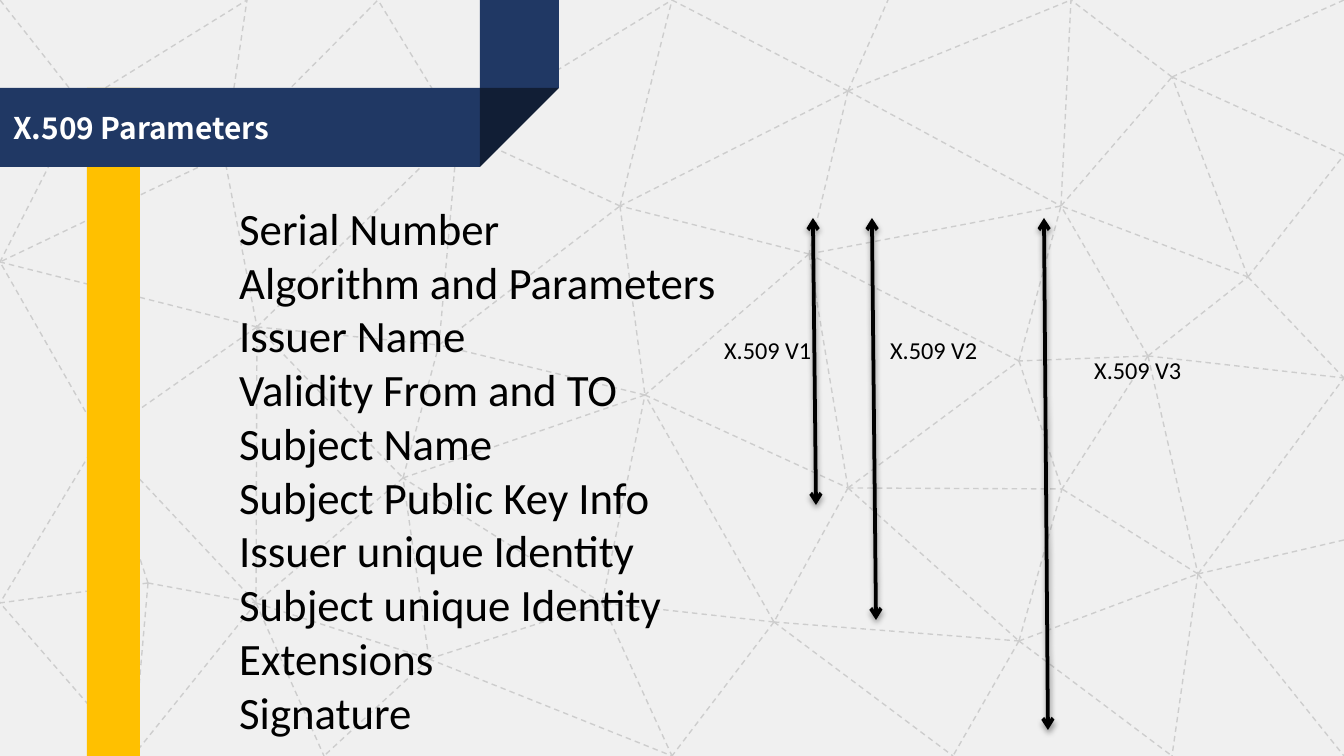
from typing import NamedTuple

from lxml import etree
from pptx import Presentation
from pptx.dml.color import RGBColor
from pptx.enum.dml import MSO_LINE
from pptx.enum.shapes import MSO_CONNECTOR, MSO_SHAPE
from pptx.oxml import parse_xml
from pptx.oxml.ns import nsdecls, qn
from pptx.util import Emu, Pt

SLIDE_WIDTH, SLIDE_HEIGHT = 1344, 756
EMU_PER_PX = 9144000 / SLIDE_WIDTH

STRAIGHT = MSO_CONNECTOR.STRAIGHT
RECTANGLE = MSO_SHAPE.RECTANGLE
RIGHT_TRIANGLE = MSO_SHAPE.RIGHT_TRIANGLE
DASH = MSO_LINE.DASH

PAPER = RGBColor(0xF0, 0xF0, 0xF0)
MESH_GRAY = RGBColor(0xCD, 0xCD, 0xCD)
GOLD = RGBColor(0xFF, 0xC0, 0x00)
NAVY = RGBColor(0x20, 0x38, 0x64)
DARK_NAVY = RGBColor(0x11, 0x1E, 0x35)
WHITE = RGBColor(0xFF, 0xFF, 0xFF)
BLACK = RGBColor(0x00, 0x00, 0x00)

BODY_FONT = "Calibri"
TITLE_FONT = "Noto Sans CJK SC"


class Point(NamedTuple):
    x: int
    y: int


class Block(NamedTuple):
    left: int
    top: int
    width: int
    height: int
    fill: RGBColor
    preset: int = RECTANGLE
    flipped: bool = False


class Label(NamedTuple):
    left: int
    top: int
    width: int
    height: int
    lines: list[str]
    size: int
    color: RGBColor = BLACK
    font: str = BODY_FONT
    bold: bool = False


class Span(NamedTuple):
    start: Point
    end: Point


# T, L, R and B nodes lie on the slide edges, M nodes inside.
NODES = {
    "T0": Point(0, 0), "T1": Point(247, 0), "T2": Point(378, 0), "T3": Point(672, 0),
    "T4": Point(888, 0), "T5": Point(1071, 0), "T6": Point(1344, 0),
    "L1": Point(0, 262), "L2": Point(0, 603),
    "R1": Point(1344, 155), "R2": Point(1344, 378), "R3": Point(1344, 540),
    "B1": Point(133, 756), "B2": Point(324, 756), "B3": Point(672, 756),
    "B4": Point(953, 756), "B5": Point(1172, 756), "B6": Point(1344, 756),
    "M1": Point(81, 103), "M2": Point(224, 155), "M3": Point(458, 131),
    "M4": Point(848, 91), "M5": Point(1172, 77), "M6": Point(620, 206),
    "M7": Point(809, 254), "M8": Point(1061, 206), "M9": Point(1248, 277),
    "M10": Point(257, 327), "M11": Point(439, 345), "M12": Point(645, 395),
    "M13": Point(1019, 361), "M14": Point(1148, 356), "M15": Point(100, 437),
    "M16": Point(403, 478), "M17": Point(848, 488), "M18": Point(1062, 489),
    "M19": Point(148, 583), "M20": Point(256, 603), "M21": Point(602, 603),
    "M22": Point(774, 622), "M23": Point(1019, 641), "M24": Point(1198, 574),
    "M25": Point(429, 659),
}
MESH = {
    "M1": "T0 T1 L1",
    "M2": "T1 T2 L1 M10",
    "M3": "T2 T3",
    "M4": "T3 T4 T5 M6 M7 M8",
    "M5": "T5 T6 R1",
    "M6": "T3 M3 M12",
    "M7": "M6 M8 M12",
    "M8": "T5 M5",
    "M9": "R1 R2 M5 M8",
    "M10": "L1 M3 M11 M15 M16 M20",
    "M11": "M3 M6",
    "M12": "M11 M16 M17",
    "M13": "M7 M8 M18",
    "M14": "R2 M8 M9 M13 M18 M24",
    "M15": "L1 L2 M20",
    "M16": "M11 M20",
    "M17": "M7 M13 M18 M22 M23",
    "M19": "L2 B1 M15 M20",
    "M20": "B1 B2 M25",
    "M21": "B3 M12 M16",
    "M22": "B3 B4 M12 M21 M23",
    "M23": "B4 B5 M18 M24",
    "M24": "R2 R3 B5 B6 M18",
    "M25": "B2 B3 M16 M21",
    "B1": "L2",
}

BACKGROUND = Block(0, 0, SLIDE_WIDTH, SLIDE_HEIGHT, PAPER)
RIBBON = [
    Block(87, 88, 53, 668, GOLD),
    Block(480, 0, 79, 88, NAVY),
    Block(0, 88, 480, 79, NAVY),
    Block(480, 88, 79, 79, DARK_NAVY, RIGHT_TRIANGLE, True),
]
PARAMETERS = [
    "Serial Number", "Algorithm and Parameters", "Issuer Name",
    "Validity From and TO", "Subject Name", "Subject Public Key Info",
    "Issuer unique Identity", "Subject unique Identity", "Extensions", "Signature",
]
LABELS = [
    Label(0, 103, 581, 50, ["X.509 Parameters"], 16, WHITE, TITLE_FONT, True),
    Label(226, 194, 503, 556, PARAMETERS, 24),
    Label(711, 329, 116, 43, ["X.509 V1"], 13),
    Label(877, 329, 116, 43, ["X.509 V2"], 13),
    Label(1081, 349, 116, 43, ["X.509 V3"], 13),
]
VERSION_SPANS = [
    Span(Point(813, 218), Point(816, 505)),
    Span(Point(872, 218), Point(876, 620)),
    Span(Point(1044, 218), Point(1048, 730)),
]


def px(length: int) -> Emu:
    return Emu(round(length * EMU_PER_PX))


def draw_block(slide, block: Block) -> None:
    shape = slide.shapes.add_shape(block.preset, *map(px, block[:4]))
    shape.shadow.inherit = False
    shape.fill.solid()
    shape.fill.fore_color.rgb = block.fill
    shape.line.fill.background()
    if block.flipped:
        shape._element.spPr.find(qn("a:xfrm")).set("flipV", "1")


def draw_line(slide, start: Point, end: Point, color: RGBColor, width: float):
    """Add a straight connector without a shadow."""
    line = slide.shapes.add_connector(STRAIGHT, *map(px, start + end))
    line.line.color.rgb = color
    line.line.width = Pt(width)
    etree.SubElement(line._element.spPr, qn("a:effectLst"))
    return line


def draw_mesh(slide) -> None:
    for start, neighbours in MESH.items():
        for end in neighbours.split():
            line = draw_line(slide, NODES[start], NODES[end], MESH_GRAY, 0.75)
            line.line.dash_style = DASH


def draw_span(slide, span: Span) -> None:
    """Add a double-headed arrow with a soft shadow below it."""
    arrow = draw_line(slide, span.start, span.end, BLACK, 2)
    properties = arrow._element.spPr
    for end in ("a:headEnd", "a:tailEnd"):
        etree.SubElement(properties.find(qn("a:ln")), qn(end), type="arrow")
    properties.find(qn("a:effectLst")).append(parse_xml(
        f'<a:outerShdw {nsdecls("a")} blurRad="{Pt(3.1)}" dist="{Pt(1.6)}" '
        'dir="5400000" rotWithShape="0"><a:srgbClr val="000000">'
        '<a:alpha val="38000"/></a:srgbClr></a:outerShdw>'))


def draw_label(slide, label: Label) -> None:
    text_frame = slide.shapes.add_textbox(*map(px, label[:4])).text_frame
    text_frame.word_wrap = False
    text_frame.text = "\n".join(label.lines)
    for paragraph in text_frame.paragraphs:
        font = paragraph.runs[0].font
        font.name = label.font
        font.size = Pt(label.size)
        font.bold = label.bold
        font.color.rgb = label.color


def main() -> None:
    presentation = Presentation()
    presentation.slide_width = px(SLIDE_WIDTH)
    presentation.slide_height = px(SLIDE_HEIGHT)
    slide = presentation.slides.add_slide(presentation.slide_layouts[6])
    draw_block(slide, BACKGROUND)
    draw_mesh(slide)
    for block in RIBBON:
        draw_block(slide, block)
    for span in VERSION_SPANS:
        draw_span(slide, span)
    for label in LABELS:
        draw_label(slide, label)
    presentation.save("out.pptx")


if __name__ == "__main__":
    main()
